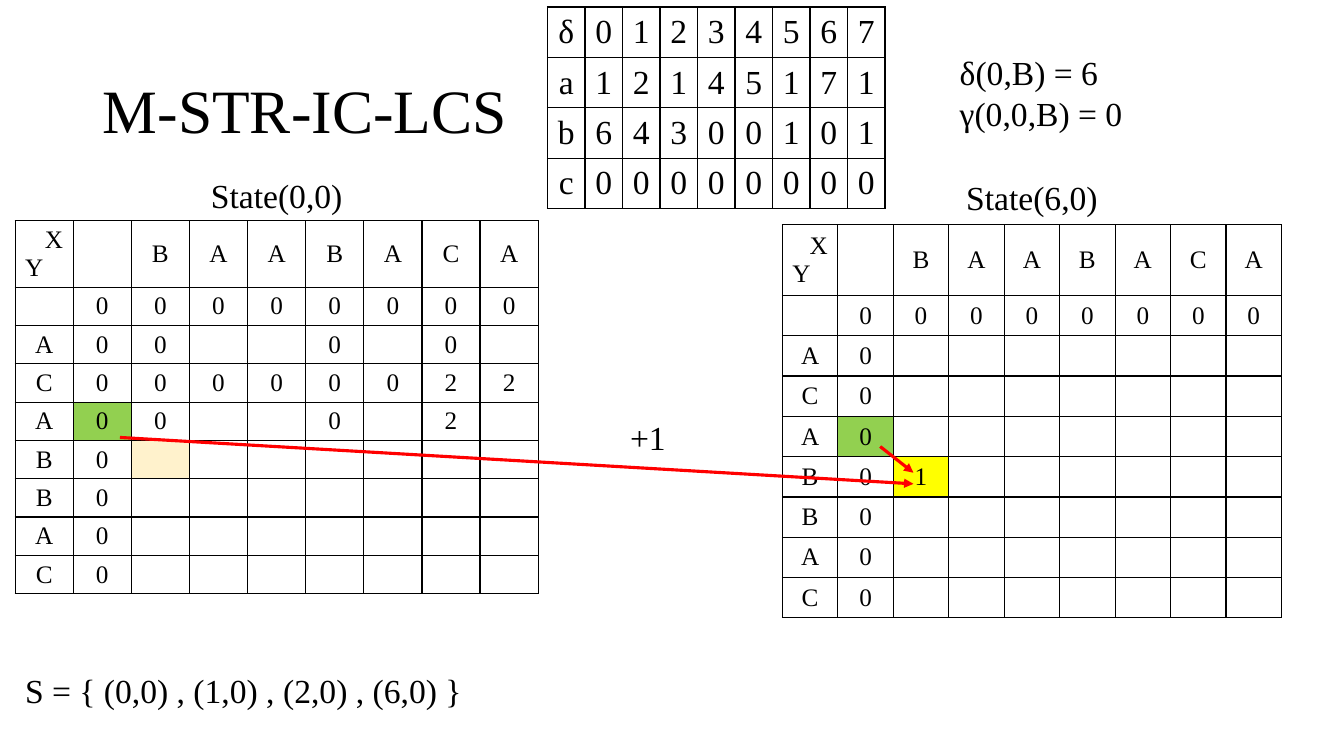
from lxml.etree import SubElement
from pptx import Presentation
from pptx.dml.color import RGBColor
from pptx.enum.shapes import MSO_CONNECTOR
from pptx.enum.text import MSO_ANCHOR, PP_ALIGN
from pptx.oxml.ns import qn
from pptx.util import Inches, Pt

FONT = "Times New Roman"
BLACK, WHITE, RED = "000000", "FFFFFF", "FF0000"
GREEN, YELLOW, CREAM = "92D050", "FFFF00", "FFF2CC"
X, Y = "BAABACA", "ACABBAC"


def rgb(color):
    return RGBColor.from_string(color)


def style_text(tf, size, align=PP_ALIGN.LEFT):
    for p in tf.paragraphs:
        p.alignment = align
        for r in p.runs:
            r.font.name = FONT
            r.font.size = Pt(size)
            r.font.color.rgb = rgb(BLACK)


def add_title(s, text, left, top, width, height):
    title = s.shapes.title
    title.left, title.top = Inches(left), Inches(top)
    title.width, title.height = Inches(width), Inches(height)
    tf = title.text_frame
    tf.text = text
    tf.vertical_anchor = MSO_ANCHOR.MIDDLE
    tf.paragraphs[0].line_spacing = 0.9
    style_text(tf, 44)


def add_label(s, text, left, top, width, height):
    box = s.shapes.add_textbox(Inches(left), Inches(top), Inches(width), Inches(height))
    tf = box.text_frame
    tf.word_wrap = True
    tf.text = text
    style_text(tf, 24)


def set_borders(cell, sides):
    tcPr = cell._tc.get_or_add_tcPr()
    for side in "LRTB":
        ln = SubElement(tcPr, qn(f"a:ln{side}"), w=str(Pt(1)))
        if side in sides:
            fill = SubElement(ln, qn("a:solidFill"))
            SubElement(fill, qn("a:srgbClr"), val=BLACK)
        else:
            SubElement(ln, qn("a:noFill"))


def format_cell(cell, text, size, sides="LRTB", fill=None):
    cell.text = text
    cell.vertical_anchor = MSO_ANCHOR.MIDDLE
    cell.margin_top = cell.margin_bottom = Inches(0.03)
    style_text(cell.text_frame, size, PP_ALIGN.CENTER)
    set_borders(cell, sides)
    if fill:
        cell.fill.solid()
        cell.fill.fore_color.rgb = rgb(fill)
    else:
        cell.fill.background()


def add_grid(s, left, top, width, heights):
    frame = s.shapes.add_table(len(heights), 9, Inches(left), Inches(top),
                               Inches(width), Inches(sum(heights)))
    table = frame.table
    table.first_row = table.horz_banding = False
    for row, height in zip(table.rows, heights):
        row.height = Inches(height)
    return table


def add_state_table(s, state, scores, fills, left, top, width, heights, base=None):
    state_height, header_height, row_height = heights
    table = add_grid(s, left, top, width, [state_height, header_height] + [row_height] * 8)
    for col in range(9):
        format_cell(table.cell(0, col), state if col == 0 else "", 24, "B", base)
    table.cell(0, 0).merge(table.cell(0, 8))
    rows = [["X\nY", ""] + list(X)]
    rows += [[name] + list(line.ljust(8)) for name, line in zip(" " + Y, scores)]
    for i, values in enumerate(rows, 1):
        for j, value in enumerate(values):
            format_cell(table.cell(i, j), value.strip(), 18, fill=fills.get((i, j), base))
    corner_x, corner_y = table.cell(1, 0).text_frame.paragraphs
    corner_x.alignment, corner_y.alignment = PP_ALIGN.RIGHT, PP_ALIGN.LEFT


def add_delta_table(s, rows, left, top, width, row_height):
    table = add_grid(s, left, top, width, [row_height] * len(rows))
    for i, values in enumerate(rows):
        for j, value in enumerate(values):
            format_cell(table.cell(i, j), value, 24)


def add_arrow(s, x1, y1, x2, y2):
    line = s.shapes.add_connector(MSO_CONNECTOR.STRAIGHT, Inches(x1), Inches(y1),
                                  Inches(x2), Inches(y2))
    line.line.color.rgb = rgb(RED)
    line.line.width = Pt(2.25)
    SubElement(line.line._get_or_add_ln(), qn("a:tailEnd"), type="triangle")
    SubElement(line._element.spPr, qn("a:effectLst"))


def main():
    prs = Presentation()
    prs.slide_width, prs.slide_height = Inches(13.33), Inches(7.5)
    s = prs.slides.add_slide(prs.slide_layouts[5])
    add_title(s, "M-STR-IC-LCS", 0.92, 0.4, 11.5, 1.45)
    add_state_table(s, "State(0,0)",
                    ["00000000", "00  0 0", "00000022", "00  0 2"] + ["0"] * 4,
                    {(5, 1): GREEN, (6, 2): CREAM},
                    0.15, 1.73, 5.19, (0.46, 0.66, 0.38))
    add_label(s, "S = { (0,0) , (1,0) , (2,0) , (6,0) }", 0.15, 6.6, 8.91, 0.5)
    add_state_table(s, "State(6,0)",
                    ["00000000", "0", "0", "0", "01", "0", "0", "0"],
                    {(5, 1): GREEN, (6, 2): YELLOW},
                    7.76, 1.73, 4.95, (0.5, 0.7, 0.4), WHITE)
    add_arrow(s, 1.19, 4.34, 9.06, 4.8)
    add_arrow(s, 8.73, 4.43, 9.06, 4.69)
    add_label(s, "+1", 6.15, 4.09, 0.82, 0.5)
    add_delta_table(s, ["δ01234567", "a12145171", "b64300101", "c00000000"],
                    5.43, 0.07, 3.35, 0.5)
    add_label(s, "δ(0,B) = 6\nγ(0,0,B) = 0", 9.42, 0.47, 2.02, 1.31)
    prs.save("out.pptx")


if __name__ == "__main__":
    main()
